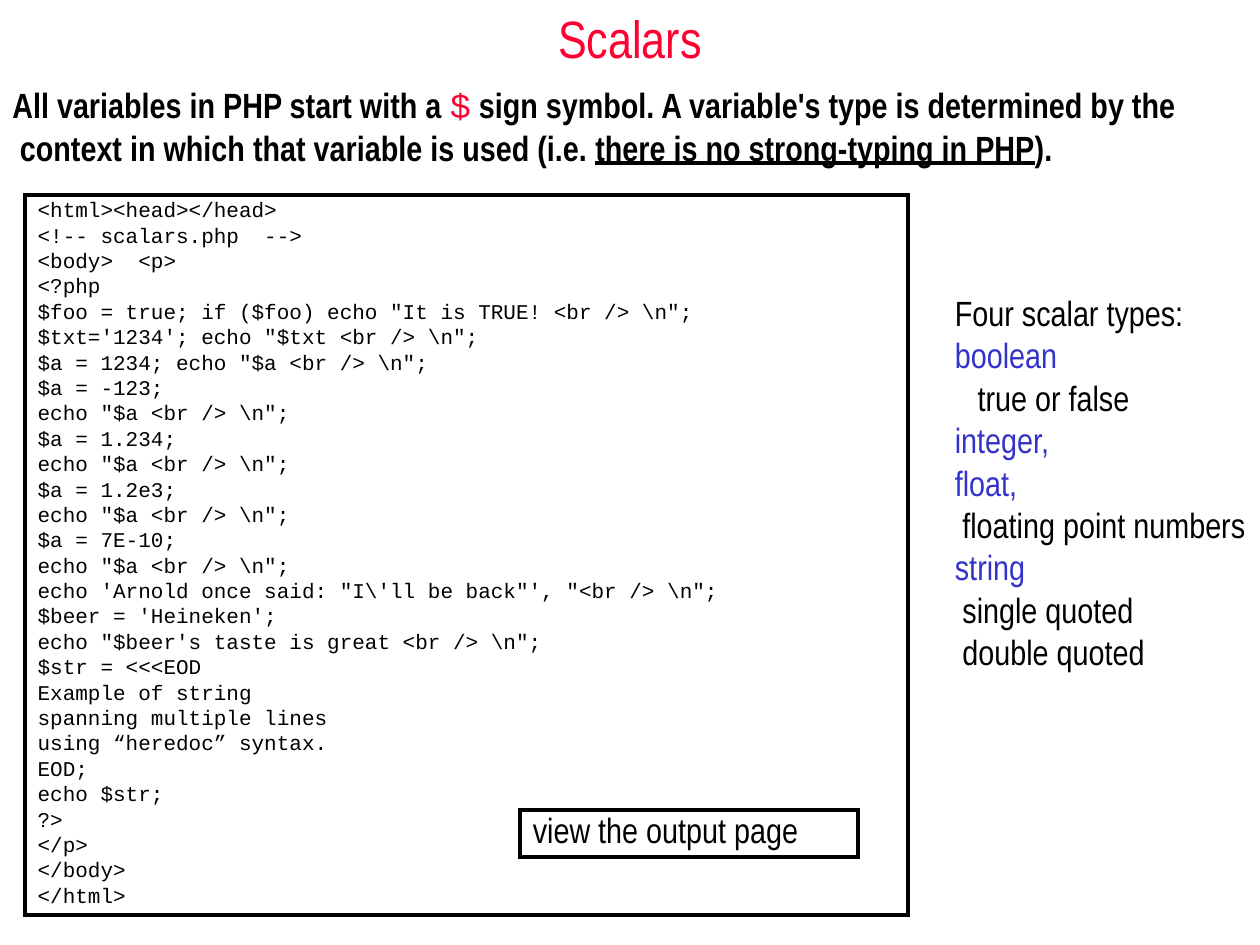
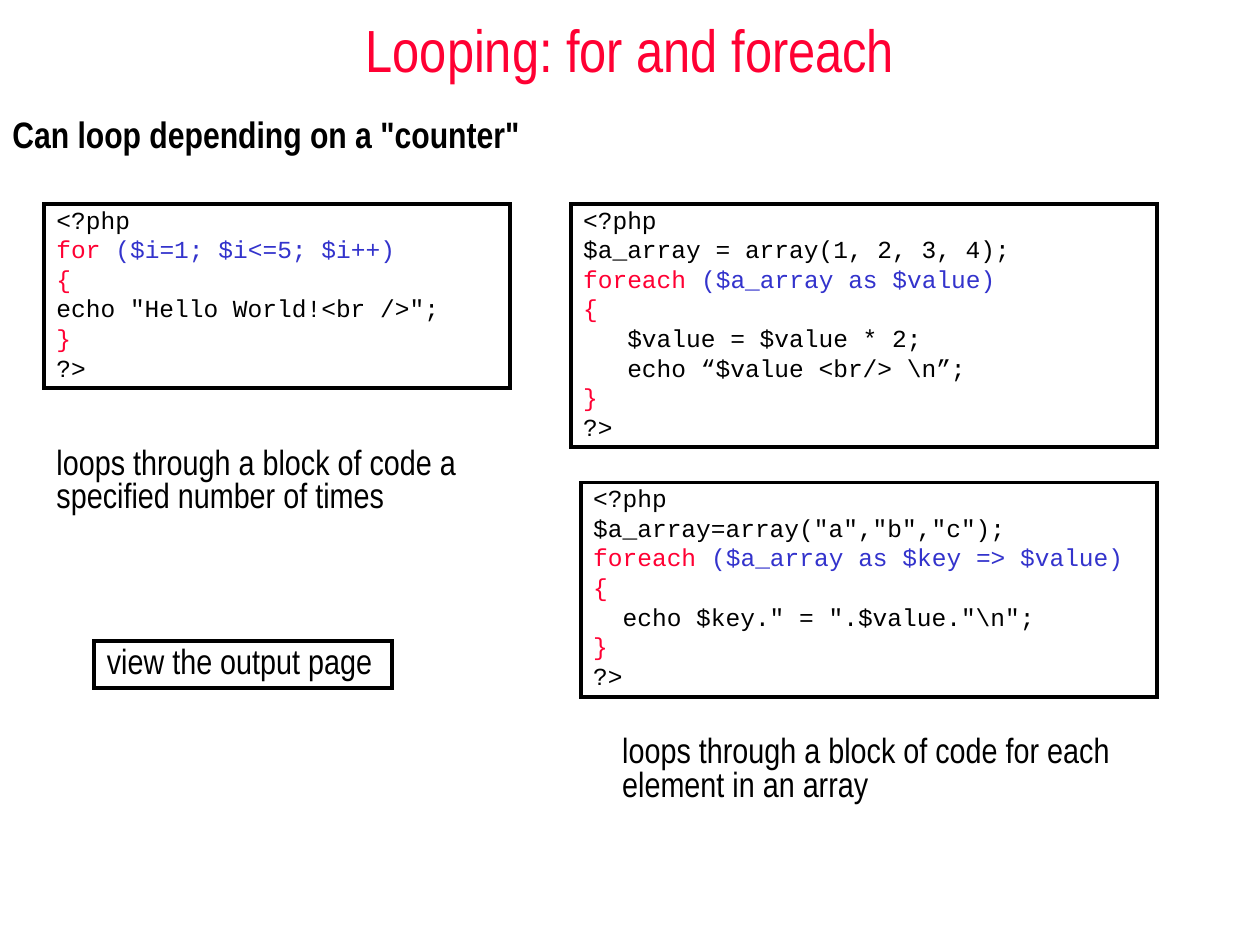
from lxml.etree import SubElement
from pptx import Presentation
from pptx.dml.color import RGBColor
from pptx.enum.shapes import MSO_SHAPE
from pptx.enum.text import MSO_ANCHOR, MSO_AUTO_SIZE, PP_ALIGN
from pptx.oxml.ns import qn
from pptx.util import Inches, Pt

BLACK, RED, BLUE = "000000", "FF0033", "3333CC"
SANS, MONO = "Arial Narrow", "Courier New"
SPACE_WIDTH = 0.06

SCALARS_CODE = r"""<html><head></head>
<!-- scalars.php  -->
<body>  <p>
<?php
$foo = true; if ($foo) echo "It is TRUE! <br /> \n";
$txt='1234'; echo "$txt <br /> \n";
$a = 1234; echo "$a <br /> \n";
$a = -123;
echo "$a <br /> \n";
$a = 1.234;
echo "$a <br /> \n";
$a = 1.2e3;
echo "$a <br /> \n";
$a = 7E-10;
echo "$a <br /> \n";
echo 'Arnold once said: "I\'ll be back"', "<br /> \n";
$beer = 'Heineken';
echo "$beer's taste is great <br /> \n";
$str = <<<EOD
Example of string
spanning multiple lines
using “heredoc” syntax.
EOD;
echo $str;
?>
</p>
</body>
</html>"""

FOR_CODE = """<?php
for ($i=1; $i<=5; $i++)
{
echo "Hello World!<br />";
}
?>"""

FOREACH_VALUE_CODE = r"""<?php
$a_array = array(1, 2, 3, 4);
foreach ($a_array as $value)
{
   $value = $value * 2;
   echo “$value <br/> \n”;
}
?>"""

FOREACH_KEY_CODE = r"""<?php
$a_array=array("a","b","c");
foreach ($a_array as $key => $value)
{
  echo $key." = ".$value."\n";
}
?>"""


def color(value):
    return RGBColor.from_string(value)


class Slides:
    def __init__(self):
        self.deck = Presentation()
        self.deck.slide_width, self.deck.slide_height = Inches(10), Inches(7.5)
        self.page = None

    def set_font(self, font, size, name=SANS, fill=BLACK, bold=False):
        font.size, font.name, font.bold = Pt(size), name, bold
        font.color.rgb = color(fill)

    def title_page(self, title, size, height):
        self.page = self.deck.slides.add_slide(self.deck.slide_layouts[5])
        box = self.page.shapes.title
        box.left, box.top = Inches(0), Inches(0)
        box.width, box.height = Inches(10), Inches(height)
        frame = box.text_frame
        frame.text = title
        frame.auto_size = MSO_AUTO_SIZE.NONE
        frame.vertical_anchor = MSO_ANCHOR.MIDDLE
        paragraph = frame.paragraphs[0]
        paragraph.alignment = PP_ALIGN.CENTER
        self.set_font(paragraph.font, size, fill=RED)

    def text(self, place, lines, size, name=SANS, bold=False, framed=False):
        lengths = [Inches(value) for value in place]
        if framed:
            box = self.page.shapes.add_shape(MSO_SHAPE.RECTANGLE, *lengths)
            box.shadow.inherit = False
            box.fill.background()
            box.line.color.rgb = color(BLACK)
            box.line.width = Pt(2.25)
            outline = box._element.spPr.find(qn("a:ln"))
            SubElement(outline, qn("a:miter"), lim="800000")
        else:
            box = self.page.shapes.add_textbox(*lengths)
        frame = box.text_frame
        frame.word_wrap = True
        frame.vertical_anchor = MSO_ANCHOR.TOP
        for index, spans in enumerate(lines):
            para = frame.add_paragraph() if index else frame.paragraphs[0]
            para.alignment = PP_ALIGN.LEFT
            para.line_spacing = 0.8
            para.space_before = Pt(size / 4 if index else 0)
            self.set_font(para.font, size, name, bold=bold)
            for words, fill in spans:
                span = para.add_run()
                span.text = words
                if fill != BLACK:
                    span.font.color.rgb = color(fill)
        return frame.paragraphs

    def indent(self, para, spaces):
        properties = para._p.get_or_add_pPr()
        properties.set("marL", str(Inches(spaces * SPACE_WIDTH)))
        properties.set("indent", "0")

    def lead(self, place, lines, size):
        return self.text(place, lines, size, bold=True)

    def code(self, place, source, size):
        lines = []
        for line in source.splitlines():
            keyword, gap, rest = line.partition(" ")
            if keyword in ("for", "foreach"):
                lines.append([(keyword + gap, RED), (rest, BLUE)])
            else:
                lines.append([(line, RED if line in ("{", "}") else BLACK)])
        self.text(place, lines, size, MONO, framed=True)

    def note(self, place, words):
        self.text(place, [[(words, BLACK)]], 20)

    def output_button(self, left, top, width):
        self.text((left, top, width, 0.37), [[("view the output page", BLACK)]],
                  20, framed=True)

    def type_list(self, place, items):
        paragraphs = self.text(place, [[(words, fill)] for words, fill, _ in items], 20)
        for para, (_, _, spaces) in zip(paragraphs, items):
            self.indent(para, spaces)


def scalars(slides):
    slides.title_page("Scalars", 30, 0.6)
    first, second = slides.lead((0, 0.68, 10, 0.87), [
        [("All variables in PHP start with a ", BLACK), ("$", RED),
         (" sign symbol. A variable's type is determined by the", BLACK)],
        [("context in which that variable is used (i.e. ", BLACK),
         ("there is no strong-typing in PHP", BLACK), (").", BLACK)],
    ], 20)
    dollar = first.runs[1].font
    dollar.name, dollar.bold = MONO, False
    second.runs[1].font.underline = True
    slides.indent(second, 1)

    slides.code((0.2, 1.55, 7.01, 5.71), SCALARS_CODE, 12)
    slides.type_list((7.48, 2.33, 2.52, 3.06), [
        ("Four scalar types:", BLACK, 0),
        ("boolean", BLUE, 0),
        ("true or false", BLACK, 3),
        ("integer,", BLUE, 0),
        ("float,", BLUE, 0),
        ("floating point numbers", BLACK, 1),
        ("string", BLUE, 0),
        ("single quoted", BLACK, 1),
        ("double quoted", BLACK, 1),
    ])
    slides.output_button(4.13, 6.43, 2.68)


def looping(slides):
    slides.title_page("Looping: for and foreach", 34, 0.78)
    heading, = slides.lead((0, 0.84, 10, 0.55),
                           [[('Can loop depending on a "counter"', BLACK)]], 21)
    heading.line_spacing = 1.0
    slides.code((0.35, 1.62, 3.7, 1.46), FOR_CODE, 14)
    slides.note((0.35, 3.51, 3.7, 0.64),
                "loops through a block of code a specified number of times")
    slides.code((4.53, 1.62, 4.65, 1.93), FOREACH_VALUE_CODE, 14)
    slides.note((4.84, 5.8, 4.17, 0.64),
                "loops through a block of code for each element in an array")
    slides.code((4.61, 3.83, 4.57, 1.7), FOREACH_KEY_CODE, 14)
    slides.output_button(0.75, 5.09, 2.36)


def main():
    slides = Slides()
    scalars(slides)
    looping(slides)
    slides.deck.save("out.pptx")


if __name__ == "__main__":
    main()
